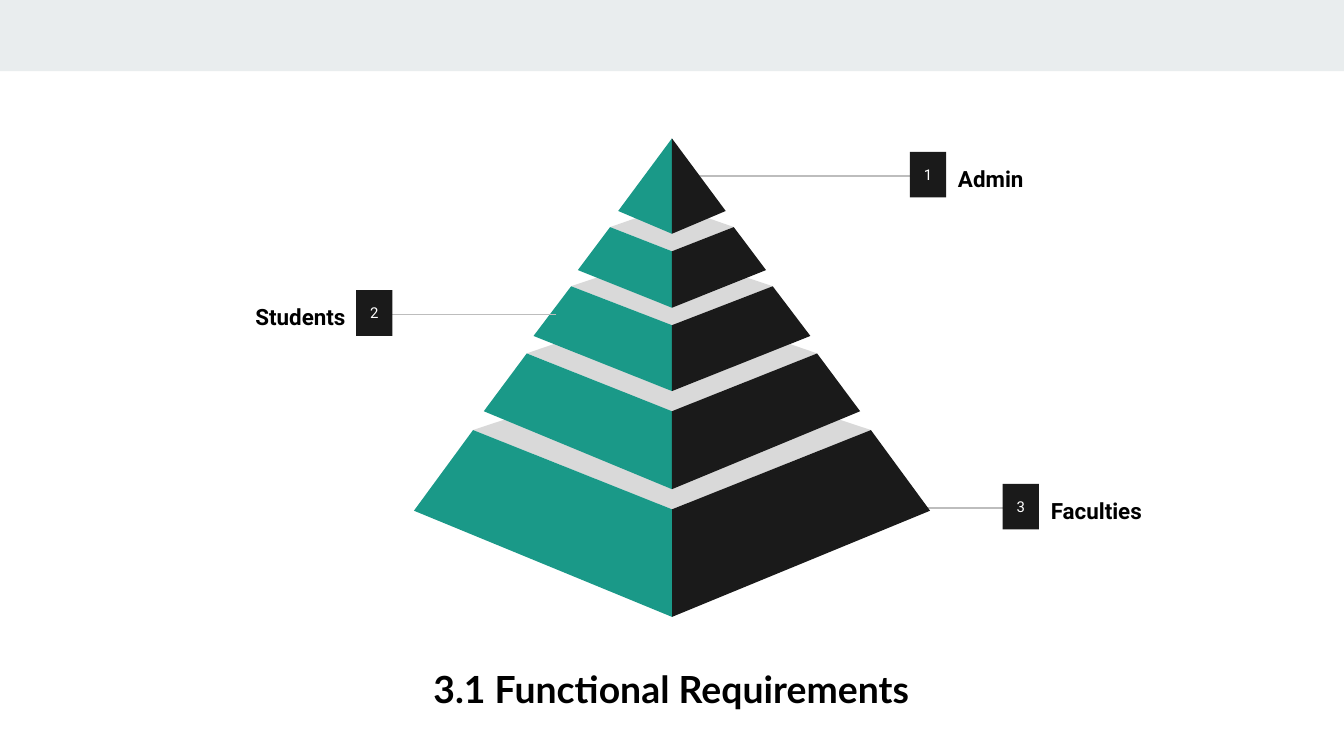
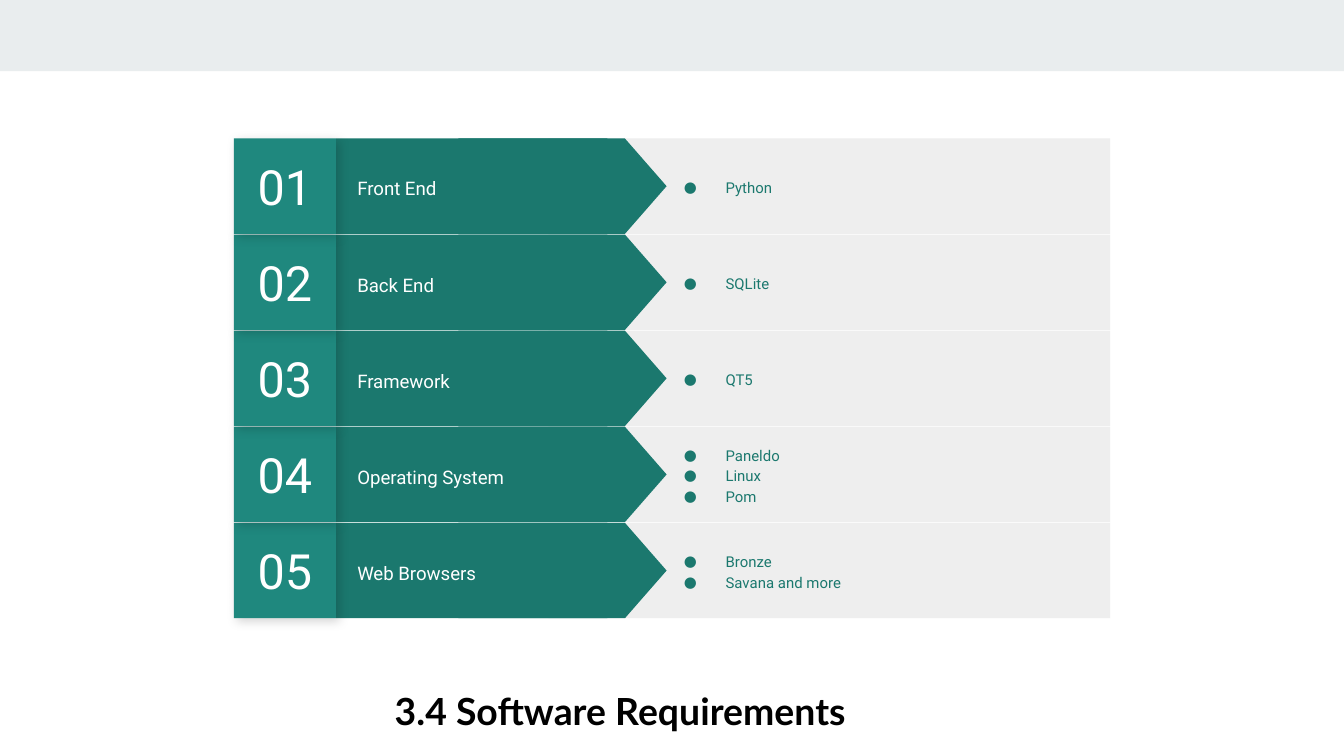
"""Build two requirement slides: a user pyramid and a software stack."""
from lxml.etree import SubElement
from pptx import Presentation
from pptx.dml.color import RGBColor
from pptx.enum.shapes import MSO_CONNECTOR, MSO_SHAPE
from pptx.enum.text import MSO_ANCHOR, MSO_AUTO_SIZE, PP_ALIGN
from pptx.oxml.ns import qn
from pptx.util import Inches, Pt

TEAL, DARK_TEAL, NUMBER_TEAL = "1A9988", "1B786E", "1F887E"
BLACK, CHARCOAL, WHITE = "000000", "1A1A1A", "FFFFFF"
BAND_GREY, LID_GREY, LINE_GREY, ROW_GREY = "E9EDEE", "D9D9D9", "BDBDBD", "EEEEEE"
LEFT, CENTER, RIGHT = PP_ALIGN.LEFT, PP_ALIGN.CENTER, PP_ALIGN.RIGHT
TOP, MIDDLE = MSO_ANCHOR.TOP, MSO_ANCHOR.MIDDLE

TITLE = {"name": "Lato", "size": Pt(20), "bold": True}
LABEL = {"name": "Roboto", "size": Pt(12), "bold": True}
ROW_NAME = {"name": "Roboto", "size": Pt(10)}
ROW_NUMBER = {"name": "Roboto", "size": Pt(26)}
SMALL = {"name": "Roboto", "size": Pt(8)}


def paint(target, color):
    """Give a shape, line or font a solid colour; shapes lose outline and shadow."""
    target.fill.solid()
    target.fill.fore_color.rgb = RGBColor.from_string(color)
    if hasattr(target, "shadow"):
        target.line.fill.background()
        target.shadow.inherit = False


def write(box, lines, font, color, align=LEFT, anchor=MIDDLE, spacing=1.0, after=0, bullet=None):
    """Fill a box with formatted paragraphs, bulleted on request."""
    frame = box.text_frame
    frame_format = {"word_wrap": True, "auto_size": MSO_AUTO_SIZE.NONE, "vertical_anchor": anchor}
    for side in ("left", "top", "right", "bottom"):
        frame_format[f"margin_{side}"] = Inches(0.1)
    for name, value in frame_format.items():
        setattr(frame, name, value)
    for index, line in enumerate(lines):
        para = frame.add_paragraph() if index else frame.paragraphs[0]
        para_format = {"alignment": align, "line_spacing": spacing, "space_before": Pt(0), "space_after": Pt(after)}
        for name, value in para_format.items():
            setattr(para, name, value)
        if bullet:
            properties = para._p.get_or_add_pPr()
            properties.set("marL", str(Inches(0.5)))
            properties.set("indent", str(Inches(-0.31)))
            bullet_color = SubElement(properties, qn("a:buClr"))
            SubElement(bullet_color, qn("a:srgbClr"), val=color)
            SubElement(properties, qn("a:buSzPts"), val="800")
            SubElement(properties, qn("a:buFont"), typeface=font["name"])
            SubElement(properties, qn("a:buChar"), char=bullet)
        span = para.add_run()
        span.text = line
        for name, value in font.items():
            setattr(span.font, name, value)
        paint(span.font, color)


deck = Presentation()
deck.slide_width, deck.slide_height = Inches(10), Inches(10 * 9 / 16)
layout = deck.slide_layouts[5]

titles = [
    ("3.1 Functional Requirements", (0.69, 4.86, 8.61, 0.62)),
    ("3.4 Software Requirements", (0.59, 5.02, 8.05, 0.54)),
]
pages = []
for text, place in titles:
    page = deck.slides.add_slide(layout)
    title = page.shapes.title
    for name, value in zip(("left", "top", "width", "height"), place):
        setattr(title, name, Inches(value))
    write(title, [text], TITLE, BLACK, CENTER, TOP)
    pages.append(page)
pyramid_page, stack_page = pages

band = pyramid_page.shapes.add_shape(MSO_SHAPE.RECTANGLE, 0, 0, deck.slide_width, Inches(0.53))
paint(band, BAND_GREY)
layout.shapes._spTree.insert(2, band._element)

callouts = [
    ("1", "Admin", 6.77, 1.13, 5.17, 6.98, 7.03, LEFT),
    ("3", "Faculties", 7.46, 3.6, 6.45, 7.67, 7.72, LEFT),
    ("2", "Students", 2.65, 2.16, 4.14, 2.72, 0.34, RIGHT),
]
shapes = pyramid_page.shapes
for number, user, left, top, line_start, line_end, label_left, align in callouts:
    line_y = Inches(top + 0.18)
    leader = shapes.add_connector(MSO_CONNECTOR.STRAIGHT, Inches(line_start), line_y, Inches(line_end), line_y)
    leader.line.width = Pt(0.75)
    paint(leader.line, LINE_GREY)
    SubElement(leader._element.spPr, qn("a:effectLst"))
    tag = shapes.add_shape(MSO_SHAPE.RECTANGLE, Inches(left), Inches(top), Inches(0.27), Inches(0.34))
    paint(tag, CHARCOAL)
    write(tag, [number], SMALL, WHITE, CENTER, TOP, after=16)
    label = shapes.add_textbox(Inches(label_left), Inches(top - 0.23), Inches(2.33), Inches(0.82))
    write(label, [user], LABEL, BLACK, align, spacing=1.15, after=16)
students_callout = (leader, tag, label)

layers = [
    (1.48, 3.2, 3.79, 1.92, 3.8, 4.59, 2.71),
    (1.08, 2.63, 3.06, 1.4, 3.06, 3.64, 2.26),
    (0.75, 2.13, 2.42, 1.03, 2.5, 2.91, 1.88),
    (0.46, 1.69, 1.87, 0.7, 2.01, 2.29, 1.53),
    (0, 1.03, 1.03, 0.4, 1.57, 1.74, None),
]
middle = 5
for upper_half, upper_y, upper_front, lower_half, lower_y, lower_front, back in layers:
    faces = []
    if back:
        lid = [(-upper_half, upper_y), (0, upper_front), (upper_half, upper_y), (0, back)]
        faces.append((lid, LID_GREY))
    for side, color in ((-1, TEAL), (1, CHARCOAL)):
        face = [(side * upper_half, upper_y), (0, upper_front), (0, lower_front), (side * lower_half, lower_y)]
        faces.append((face, color))
    for corners, color in faces:
        points = [(Inches(middle + x), Inches(y)) for x, y in corners]
        builder = shapes.build_freeform(*points[0])
        builder.add_line_segments(points[1:])
        paint(builder.convert_to_shape(), color)
for part in students_callout:
    shapes._spTree.append(part._element)

rows = [
    ("Front End", ["Python"]),
    ("Back End", ["SQLite"]),
    ("Framework", ["QT5"]),
    ("Operating System", ["Paneldo", "Linux", "Pom"]),
    ("Web Browsers", ["Bronze", "Savana and more"]),
]
row_height = 0.71
row_pitch = 2.86 / 4
shapes = stack_page.shapes
for index, (name, tools) in reversed(list(enumerate(rows))):
    top = 1.03 + index * row_pitch
    parts = [
        (MSO_SHAPE.RECTANGLE, 4.08, top, 4.18, row_height, 0, ROW_GREY),
        (MSO_SHAPE.RECTANGLE, 2.5, top, 2.02, row_height, 0, DARK_TEAL),
        (MSO_SHAPE.FLOWCHART_OFFPAGE_CONNECTOR, 3.83, top - 0.42, row_height, 1.55, 270, DARK_TEAL),
        (MSO_SHAPE.RECTANGLE, 1.74, top, 0.76, row_height, 0, NUMBER_TEAL),
    ]
    for kind, left, part_top, width, height, rotation, color in parts:
        part = shapes.add_shape(kind, Inches(left), Inches(part_top), Inches(width), Inches(height))
        part.rotation = rotation
        paint(part, color)
    number_box = part
    effects = number_box._element.spPr.find(qn("a:effectLst"))
    shadow = SubElement(
        effects, qn("a:outerShdw"), blurRad=str(Pt(5.6)), dist=str(Pt(2.2)), dir="2700000", algn="tl", rotWithShape="0"
    )
    shadow_color = SubElement(shadow, qn("a:srgbClr"), val=BLACK)
    SubElement(shadow_color, qn("a:alpha"), val="17000")
    write(number_box, [f"{index + 1:02}"], ROW_NUMBER, WHITE, CENTER)
    name_box = shapes.add_textbox(Inches(2.56), Inches(top + 0.09), Inches(2.12), Inches(0.54))
    write(name_box, [name], ROW_NAME, WHITE, spacing=1.15)
    tool_box = shapes.add_textbox(Inches(4.8), Inches(top), Inches(3.25), Inches(row_height))
    write(tool_box, tools, SMALL, DARK_TEAL, spacing=1.15, bullet="●")

deck.save("out.pptx")
